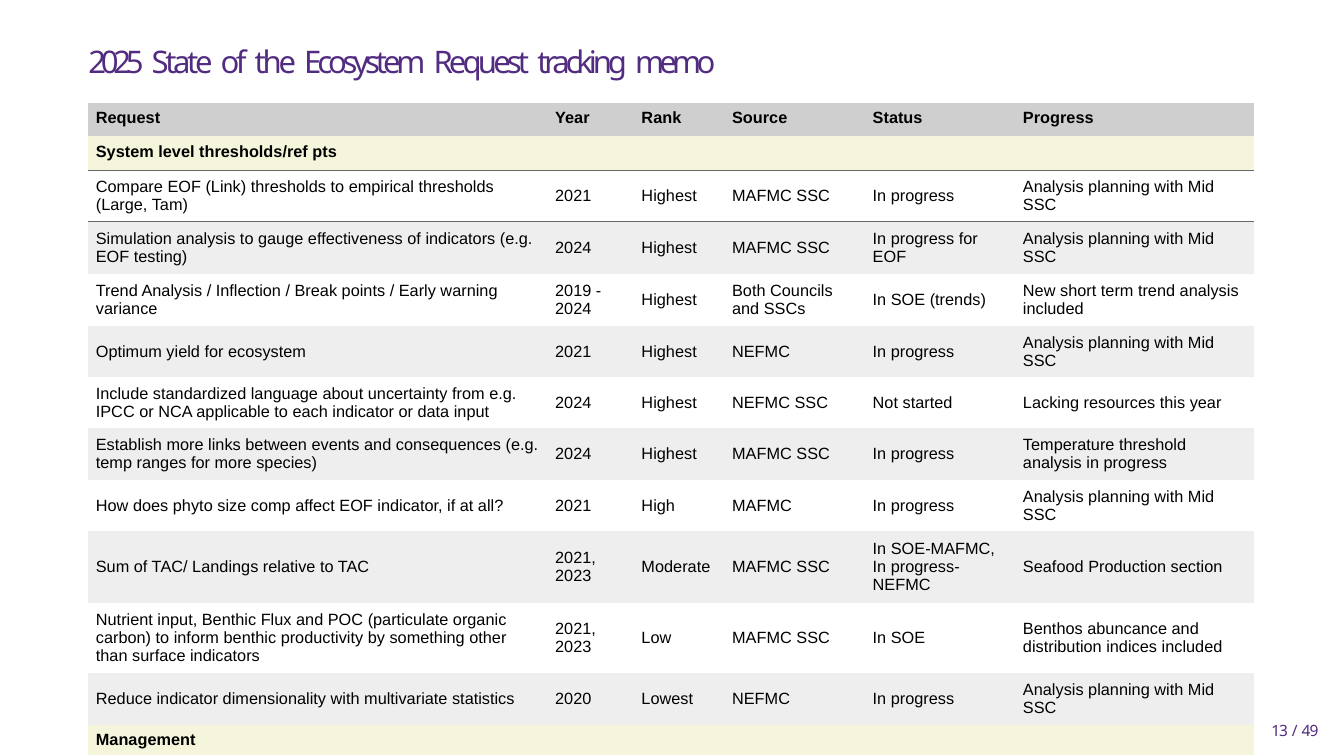
"""Build the request tracking slide for the ecosystem report."""
from lxml.etree import SubElement
from pptx import Presentation
from pptx.dml.color import RGBColor
from pptx.enum.text import MSO_ANCHOR, MSO_AUTO_SIZE, PP_ALIGN
from pptx.oxml import parse_xml
from pptx.oxml.ns import nsdecls, qn
from pptx.util import Inches, Pt

PURPLE, BLACK, BORDER = "522C80", "000000", "666666"
HEADER, SECTION, BAND = "CFCFCF", "F5F5DC", "EEEEEE"
NO_STYLE = "{2D5ABB26-0587-4C30-8999-92F81FD0307C}"

TITLE = [("2025", -3.6), ("State", -2.3), ("of", -2.4), ("the", -2.2),
         ("Ecosystem", -2.8), ("Request", -2.6), ("tracking", -2.8), ("memo", -3.2)]
PAGE = [("13", -0.8), ("/", -1.5), ("49", -0.5)]

COLUMN_WIDTHS = [4.29, 0.71, 0.94, 1.23, 1.47, 2.3]
LEFT_MARGINS = [0.07, 0.09, 0.19, 0.1, 0.19, 0.13]
RIGHT_MARGINS = [0.05, 0, 0, 0.05, 0.05, 0.1]
ROW_HEIGHTS = [0.31, 0.32, 0.48, 0.49, 0.49, 0.48, 0.48, 0.49, 0.48, 0.67, 0.66, 0.49, 0.28]
RULED_ROWS = (1, 2)
PLANNING = "Analysis planning with Mid SSC"
ROWS = [
    ("Request", "Year", "Rank", "Source", "Status", "Progress"),
    ("System level thresholds/ref pts",),
    ("Compare EOF (Link) thresholds to empirical thresholds (Large, Tam)",
     "2021", "Highest", "MAFMC SSC", "In progress", PLANNING),
    ("Simulation analysis to gauge effectiveness of indicators (e.g. EOF testing)",
     "2024", "Highest", "MAFMC SSC", "In progress for EOF", PLANNING),
    ("Trend Analysis / Inflection / Break points / Early warning variance",
     "2019 -\n2024", "Highest", "Both Councils and SSCs", "In SOE (trends)",
     "New short term trend analysis included"),
    ("Optimum yield for ecosystem", "2021", "Highest", "NEFMC", "In progress", PLANNING),
    ("Include standardized language about uncertainty from e.g. IPCC or NCA "
     "applicable to each indicator or data input",
     "2024", "Highest", "NEFMC SSC", "Not started", "Lacking resources this year"),
    ("Establish more links between events and consequences (e.g. temp ranges for more species)",
     "2024", "Highest", "MAFMC SSC", "In progress", "Temperature threshold analysis in progress"),
    ("How does phyto size comp affect EOF indicator, if at all?",
     "2021", "High", "MAFMC", "In progress", PLANNING),
    ("Sum of TAC/ Landings relative to TAC", "2021,\n2023", "Moderate", "MAFMC SSC",
     "In SOE-MAFMC,\nIn progress- NEFMC", "Seafood Production section"),
    ("Nutrient input, Benthic Flux and POC (particulate organic carbon) to inform "
     "benthic productivity by something other than surface indicators",
     "2021,\n2023", "Low", "MAFMC SSC", "In SOE",
     "Benthos abuncance and distribution indices included"),
    ("Reduce indicator dimensionality with multivariate statistics",
     "2020", "Lowest", "NEFMC", "In progress", PLANNING),
    ("Management",),
]


def color(value):
    return RGBColor.from_string(value)


def write(paragraph, text, size=11, font="Arial", fill=BLACK, bold=False, spacing=0):
    paragraph.alignment = PP_ALIGN.LEFT
    run = paragraph.add_run()
    run.text = text
    run.font.size = Pt(size)
    run.font.name = font
    run.font.bold = bold
    run.font.color.rgb = color(fill)
    if spacing:
        run.font._element.set("spc", str(round(spacing * 100)))


def write_spaced(shape, words, box, size):
    shape.left, shape.top, shape.width, shape.height = map(Inches, box)
    frame = shape.text_frame
    frame.word_wrap = True
    frame.auto_size = MSO_AUTO_SIZE.NONE
    frame.vertical_anchor = MSO_ANCHOR.MIDDLE
    frame.margin_left = frame.margin_right = frame.margin_top = frame.margin_bottom = 0
    look = {"size": size, "font": "Noto Sans", "fill": PURPLE}
    for number, (word, spacing) in enumerate(words):
        if number:
            write(frame.paragraphs[0], " ", **look)
        write(frame.paragraphs[0], word, spacing=spacing, **look)


def row_fill(index):
    if index == 0:
        return HEADER
    if len(ROWS[index]) == 1:
        return SECTION
    return BAND if index % 2 else None


def fill_cell(cell, text, row, column):
    cell.margin_left = Inches(LEFT_MARGINS[column])
    cell.margin_right = Inches(RIGHT_MARGINS[column])
    cell.margin_top = 0
    cell.margin_bottom = Inches(0.03 if row < 2 else 0)
    cell.vertical_anchor = MSO_ANCHOR.MIDDLE
    fill = row_fill(row)
    if fill:
        cell.fill.solid()
        cell.fill.fore_color.rgb = color(fill)
    else:
        cell.fill.background()
    if row in RULED_ROWS:
        cell._tc.get_or_add_tcPr().insert(0, parse_xml(
            f'<a:lnB {nsdecls("a")} w="{Pt(0.75)}"><a:solidFill>'
            f'<a:srgbClr val="{BORDER}"/></a:solidFill></a:lnB>'))
    frame = cell.text_frame
    if not text:
        SubElement(frame.paragraphs[0]._p, qn("a:endParaRPr")).set("sz", "1100")
        return
    for number, line in enumerate(text.split("\n")):
        paragraph = frame.add_paragraph() if number else frame.paragraphs[0]
        write(paragraph, line, bold=fill in (HEADER, SECTION))


def add_request_table(slide):
    shape = slide.shapes.add_table(len(ROWS), len(COLUMN_WIDTHS), Inches(0.83), Inches(0.97),
                                   Inches(sum(COLUMN_WIDTHS)), Inches(sum(ROW_HEIGHTS)))
    table = shape.table
    table.first_row = table.horz_banding = False
    table._tbl.tblPr.find(qn("a:tableStyleId")).text = NO_STYLE
    for column, width in zip(table.columns, COLUMN_WIDTHS):
        column.width = Inches(width)
    for row, height in enumerate(ROW_HEIGHTS):
        table.rows[row].height = Inches(height)
        for column in range(len(COLUMN_WIDTHS)):
            text = ROWS[row][column] if column < len(ROWS[row]) else ""
            fill_cell(table.cell(row, column), text, row, column)


def main():
    presentation = Presentation()
    presentation.slide_width, presentation.slide_height = Pt(908), Pt(511)
    slide = presentation.slides.add_slide(presentation.slide_layouts[5])
    write_spaced(slide.shapes.title, TITLE, (0.83, 0.38, 8.82, 0.38), 21)
    add_request_table(slide)
    page_box = slide.shapes.add_textbox(0, 0, 0, 0)
    write_spaced(page_box, PAGE, (11.93, 6.74, 0.52, 0.23), 10.5)
    presentation.save("out.pptx")


if __name__ == "__main__":
    main()
